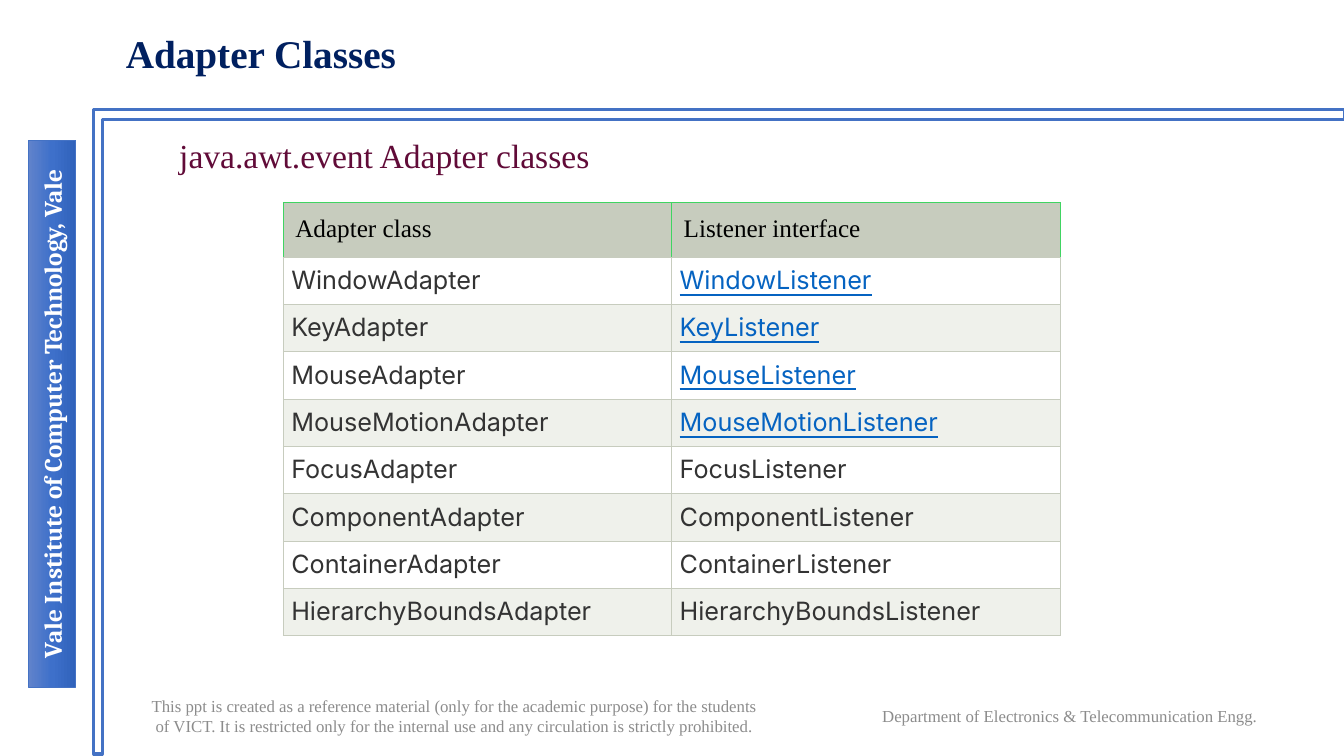
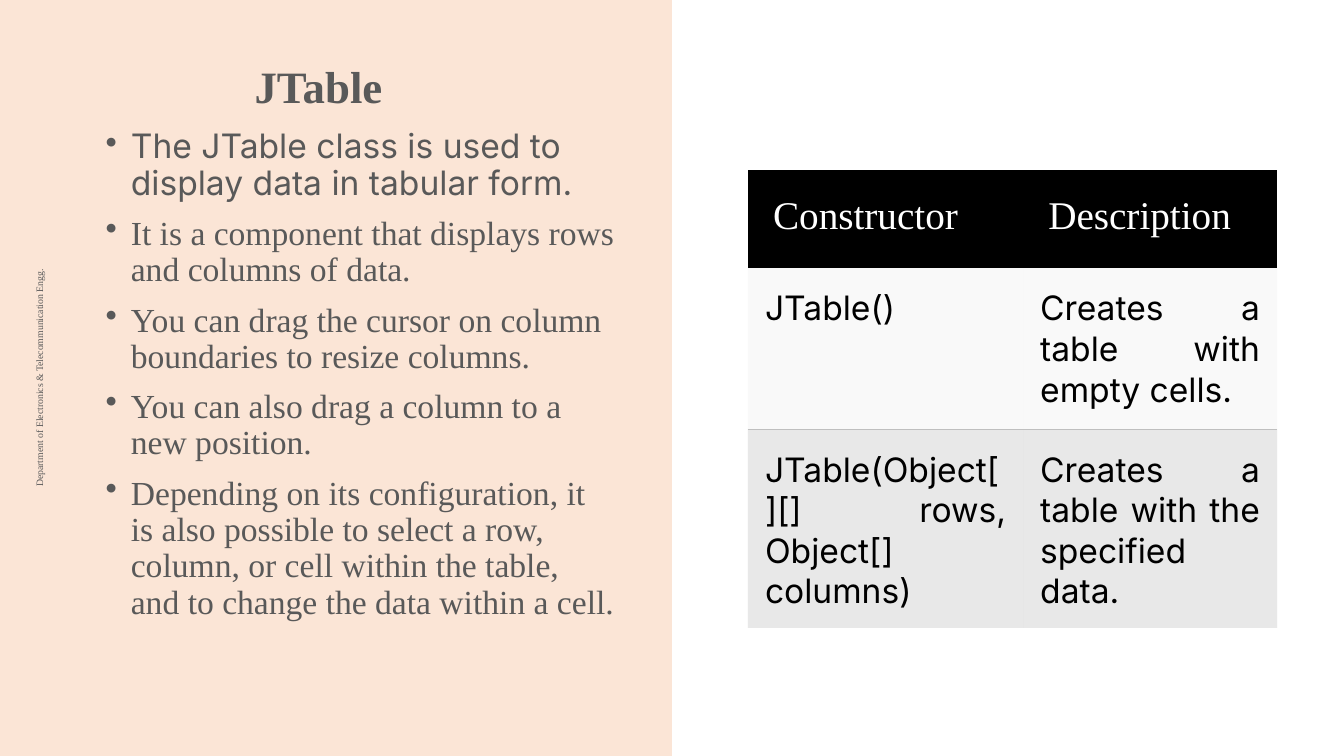
from copy import deepcopy

from lxml import etree
from pptx import Presentation
from pptx import util as u
from pptx.dml.color import RGBColor
from pptx.enum import shapes, text
from pptx.oxml.ns import qn

COLUMNS, ROWS = 40, 22.5
CELL = u.Inches(13.333) / COLUMNS

SERIF, SANS, RIBBON_FONT = "Times New Roman", "Inter", "Cambria"
BLUE, NAVY, PLUM, LINK = "4472C4", "002060", "610B38", "0563C1"
WHITE, BLACK, GREY, SLATE, INK = "FFFFFF", "000000", "8C8C8C", "595959", "333333"
SAGE, PALE_SAGE, GREEN, PEACH = "C7CCBE", "EFF1EB", "40D462", "FBE5D6"
SILVER, PALE_SILVER = "BFBFBF", "F2F2F2"
RIBBON = ("6183CB", "3E70CA", "3062BB")

LEFT, CENTER, JUSTIFY = (text.PP_ALIGN.LEFT, text.PP_ALIGN.CENTER,
                         text.PP_ALIGN.JUSTIFY)
TOP, MIDDLE, BOTTOM = (text.MSO_ANCHOR.TOP, text.MSO_ANCHOR.MIDDLE,
                       text.MSO_ANCHOR.BOTTOM)

SCHOOL = "Vale Institute of Computer Technology, Vale"
NOTICE = ("This ppt is created as a reference material (only for the academic "
          "purpose) for the students of VICT. It is restricted only for the "
          "internal use and any circulation is strictly prohibited.")
DEPARTMENT = "Department of Electronics & Telecommunication Engg."


def rgb(value):
    return RGBColor.from_string(value)


def grid(*counts):
    """Turn numbers of grid cells into lengths."""
    return [u.Emu(round(count * CELL)) for count in counts]


def write(frame, wording, size=18, font=SERIF, color=BLACK, bold=False,
          underline=False, align=LEFT, spacing=None, before=None, after=None,
          bullet=None):
    """Fill the first free paragraph of a text frame."""
    paragraph = frame.paragraphs[0]
    if paragraph.runs:
        paragraph = frame.add_paragraph()
    paragraph.alignment = align
    if spacing:
        paragraph.line_spacing = spacing
    if before:
        paragraph.space_before = u.Pt(before)
    if after:
        paragraph.space_after = u.Pt(after)
    if bullet:
        props = paragraph._p.get_or_add_pPr()
        indent = u.Inches(0.25)
        props.set("marL", str(indent))
        props.set("indent", str(-indent))
        etree.SubElement(props, qn("a:buChar")).set("char", bullet)
    run = paragraph.add_run()
    run.text = wording
    run.font.size = u.Pt(size)
    run.font.name = font
    run.font.color.rgb = rgb(color)
    run.font.bold = bold
    run.font.underline = underline


def set_borders(cell, borders):
    """Draw the sides given as {side: (colour, points)}; clear the others."""
    props = cell._tc.get_or_add_tcPr()
    for place, side in enumerate("LRTB"):
        line = etree.Element(qn("a:ln" + side))
        if side in borders:
            color, points = borders[side]
            line.set("w", str(u.Pt(points)))
            paint = etree.SubElement(line, qn("a:solidFill"))
            etree.SubElement(paint, qn("a:srgbClr")).set("val", color)
        else:
            etree.SubElement(line, qn("a:noFill"))
        props.insert(place, line)


class Deck:
    def __init__(self):
        self.show = Presentation()
        self.show.slide_width, self.show.slide_height = grid(COLUMNS, ROWS)
        self.slide = None

    def new_slide(self):
        self.slide = self.show.slides.add_slide(self.show.slide_layouts[6])

    def shape(self, kind, at, fill, line=None, turn=0):
        """Add a preset shape; several fill colours make a gradient."""
        shape = self.slide.shapes.add_shape(kind, *grid(*at))
        shape.shadow.inherit = False
        shape.rotation = turn
        if isinstance(fill, str):
            shape.fill.solid()
            shape.fill.fore_color.rgb = rgb(fill)
        else:
            self.blend(shape, fill)
        if line:
            shape.line.color.rgb = rgb(line[0])
            shape.line.width = u.Pt(line[1])
        else:
            shape.line.fill.background()
        return shape

    def blend(self, shape, colors):
        """Spread the colours evenly from top to bottom."""
        shape.fill.gradient()
        shape.fill.gradient_angle = 270
        stops = shape._element.spPr.find(".//" + qn("a:gsLst"))
        while len(stops) < len(colors):
            stops.append(deepcopy(stops[0]))
        for index, stop in enumerate(shape.fill.gradient_stops):
            stop.color.rgb = rgb(colors[index])
            stop.position = index / (len(colors) - 1)

    def text(self, at, *wordings, anchor=MIDDLE, turn=0, **style):
        box = self.slide.shapes.add_textbox(*grid(*at))
        box.rotation = turn
        frame = box.text_frame
        frame.word_wrap = True
        frame.vertical_anchor = anchor
        for wording in wordings:
            write(frame, wording, **style)
        return box

    def title(self, at, wording, **style):
        self.text(at, wording, bold=True, spacing=0.9, **style)

    def school_frame(self):
        """Draw the corner rule, the side ribbon and both footers."""
        corner = self.shape(shapes.MSO_SHAPE.CORNER,
                            (11.82, -5.76, 19.17, 37.23), WHITE, (BLUE, 2.25), 90)
        corner.adjustments[0], corner.adjustments[1] = 0.013, 0.015
        ribbon = self.shape(shapes.MSO_SHAPE.RECTANGLE,
                            (-6.6, 11.61, 16.29, 1.41), RIBBON, (BLUE, 0.5), 270)
        ribbon.text_frame.vertical_anchor = MIDDLE
        write(ribbon.text_frame, SCHOOL, font=RIBBON_FONT, color=WHITE,
              bold=True, align=CENTER)
        footer = dict(size=12, color=GREY, align=CENTER)
        self.text((3.99, 20.46, 19.08, 1.71), NOTICE, **footer)
        self.text((24.3, 20.76, 15.09, 1.08), DEPARTMENT, **footer)

    def table(self, left, top, widths, heights):
        table = self.slide.shapes.add_table(
            len(heights), len(widths),
            *grid(left, top, sum(widths), sum(heights))).table
        table.horz_banding = False
        for column, width in zip(table.columns, grid(*widths)):
            column.width = width
        for row, height in zip(table.rows, grid(*heights)):
            row.height = height
        return table

    def row(self, table, index, wordings, fill, insets, borders, anchor=TOP,
            opacity=None, styles=None, **style):
        """Fill a row; styles holds extra formats by column."""
        for column, wording in enumerate(wordings):
            cell = table.cell(index, column)
            cell.fill.solid()
            cell.fill.fore_color.rgb = rgb(fill)
            if opacity:
                paint = cell._tc.tcPr.find(".//" + qn("a:srgbClr"))
                etree.SubElement(paint, qn("a:alpha")).set(
                    "val", str(opacity * 1000))
            (cell.margin_left, cell.margin_top,
             cell.margin_right, cell.margin_bottom) = grid(*insets)
            cell.vertical_anchor = anchor
            set_borders(cell, borders)
            write(cell.text_frame, wording,
                  **{**style, **(styles or {}).get(column, {})})


def adapter_slide(deck):
    deck.new_slide()
    deck.school_frame()
    deck.title((3.45, 0.72, 33.69, 1.86), "Adapter Classes", size=28, color=NAVY)

    events = ["Window", "Key", "Mouse", "MouseMotion", "Focus", "Component",
              "Container", "HierarchyBounds"]
    linked = events[:4]
    table = deck.table(8.43, 6.03, [11.56] * 2, [1.57] + [1.41] * len(events))
    rule = (SAGE, 0.75)
    header_rules = {**dict.fromkeys("LRT", (GREEN, 0.75)), "B": rule}
    deck.row(table, 0, ["Adapter class", "Listener interface"], SAGE,
             [0.36] * 4, header_rules)
    for index, event in enumerate(events, 1):
        link = dict(color=LINK, underline=True) if event in linked else {}
        deck.row(table, index, [event + "Adapter", event + "Listener"],
                 WHITE if index % 2 else PALE_SAGE, [0.24] * 4,
                 dict.fromkeys("LRTB", rule), styles={1: link},
                 font=SANS, color=INK, align=JUSTIFY)

    heading = deck.text((5.04, 3.87, 16.98, 1.5),
                        "java.awt.event Adapter classes", size=24, color=PLUM)
    heading.fill.solid()
    heading.fill.fore_color.rgb = rgb(WHITE)


def jtable_slide(deck):
    deck.new_slide()
    deck.shape(shapes.MSO_SHAPE.RECTANGLE, (0, 0, COLUMNS / 2, ROWS), PEACH)
    deck.title((2.34, 0.24, 14.28, 3.27), "JTable", size=32, color=SLATE,
               align=CENTER, anchor=BOTTOM)
    deck.text((-5.58, 10.65, 13.5, 1.2), DEPARTMENT, turn=270, size=7,
              color=SLATE, align=CENTER, after=6)

    point = dict(size=24, color=SLATE, spacing=0.9, before=10, bullet="•")
    points = deck.text(
        (2.85, 3.72, 15.78, 16.68),
        "The JTable class is used to display data in tabular form.",
        anchor=TOP, font=SANS, **point)
    for wording in (
            "It is a component that displays rows and columns of data.",
            "You can drag the cursor on column boundaries to resize columns.",
            "You can also drag a column to a new position.",
            "Depending on its configuration, it is also possible to select a "
            "row, column, or cell within the table, and to change the data "
            "within a cell."):
        write(points.text_frame, wording, **point)

    table = deck.table(22.26, 5.07, [8.19, 7.56], [2.91, 4.8, 4.8])
    deck.row(table, 0, ["Constructor", "Description"], BLACK,
             (0.75, 0.6, 0.75, 0.75), {}, anchor=MIDDLE, size=28, color=WHITE)
    rule = (SILVER, 1)
    constructors = [
        (["JTable()", "Creates a table with empty cells."],
         PALE_SILVER, 45, {"B": rule}),
        (["JTable(Object[][] rows, Object[] columns)",
          "Creates a table with the specified data."],
         SILVER, 35, {"T": rule}),
    ]
    for index, (wordings, fill, opacity, borders) in enumerate(constructors, 1):
        deck.row(table, index, wordings, fill, (0.51, 0.6, 0.51, 0.51), borders,
                 opacity=opacity, size=24, font=SANS, align=JUSTIFY)


def main():
    deck = Deck()
    adapter_slide(deck)
    jtable_slide(deck)
    deck.show.save("out.pptx")


if __name__ == "__main__":
    main()
